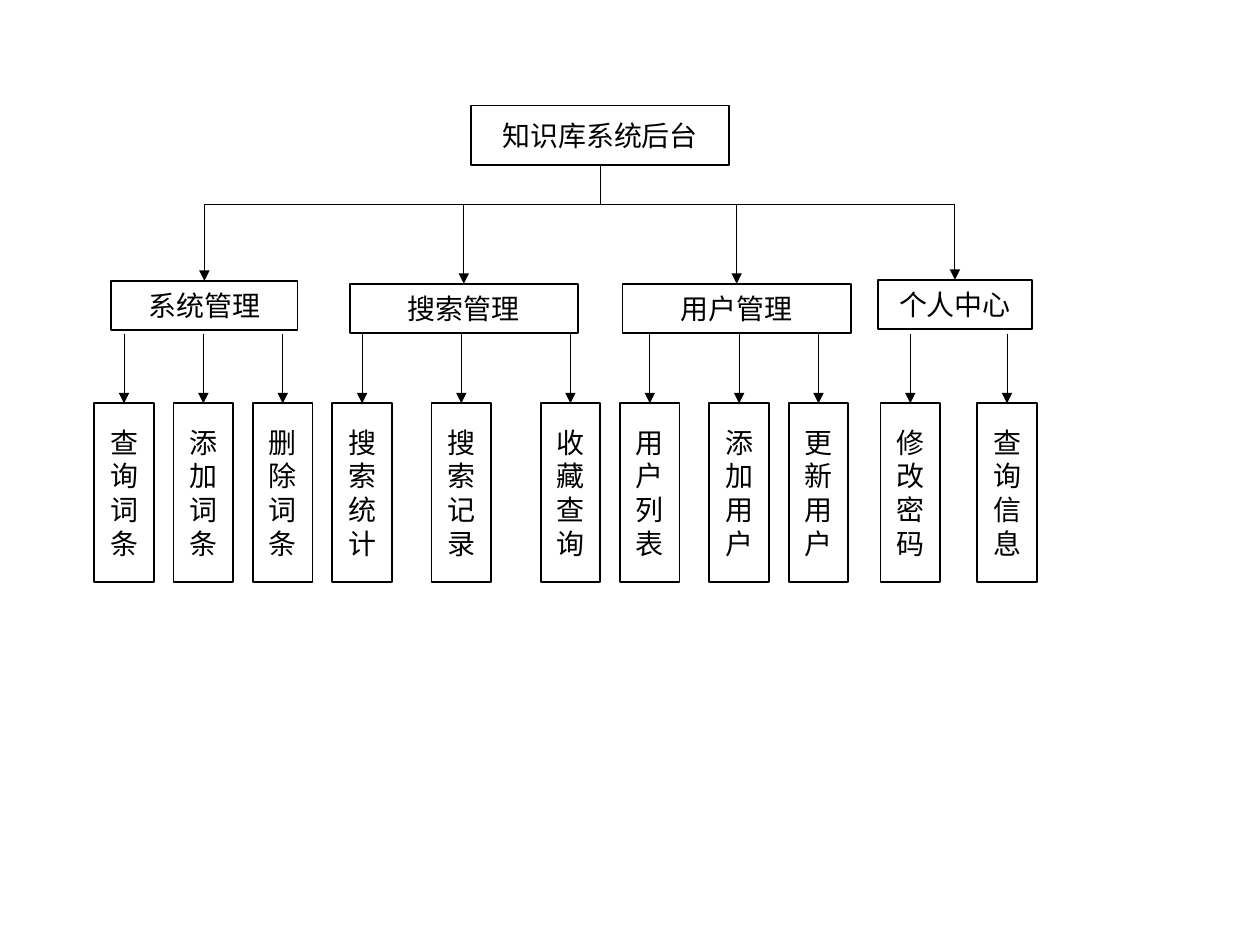
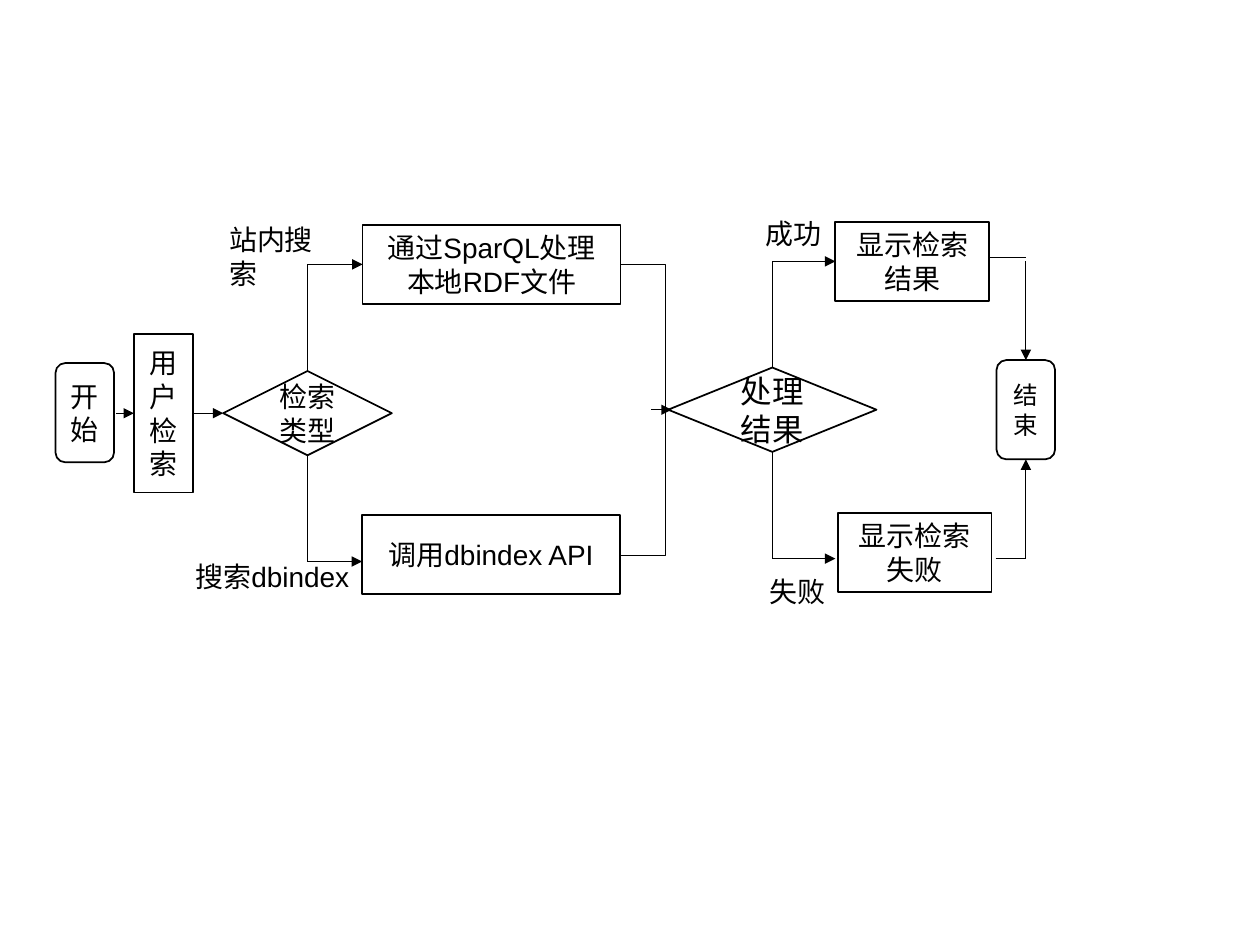
"""Build a knowledge base structure chart and its search flow."""
from typing import NamedTuple, Union

from lxml.etree import SubElement
from pptx import Presentation
from pptx.dml.color import RGBColor
from pptx.enum.shapes import MSO_CONNECTOR, MSO_SHAPE
from pptx.enum.text import MSO_ANCHOR, PP_ALIGN
from pptx.oxml.ns import qn
from pptx.util import Inches, Pt

SLIDE_WIDTH, SLIDE_HEIGHT = Inches(10), Inches(7.5)
COLUMNS, ROWS = 254, 190.5
BLACK, WHITE = "000000", "FFFFFF"
LATIN_FONT, CHINESE_FONT = "Arial", "Noto Sans CJK SC"
TOP, LEFT, BOTTOM, RIGHT = range(4)


class Box(NamedTuple):
    """A labelled shape, placed in grid columns and rows."""
    text: str
    left: float
    top: float
    width: float
    height: float
    kind: MSO_SHAPE = MSO_SHAPE.RECTANGLE
    size: int = 16
    font: str = LATIN_FONT
    fill: str = WHITE


class Label(NamedTuple):
    """Free text beside a branch of the flow."""
    text: str
    left: float
    top: float
    width: float
    alignment: PP_ALIGN


class Point(NamedTuple):
    """A free line end on the grid."""
    column: float
    row: float


class Joint(NamedTuple):
    """A line end joined to the middle of a shape's side."""
    shape: object
    side: int


End = Union[Point, Joint]


class Branch(NamedTuple):
    """A function group with the centre columns of its leaves."""
    box: Box
    leaves: dict[str, float]


LEAF_TOP, LEAF_WIDTH, LEAF_HEIGHT = 81.3, 12, 36
BUS_ROW, LEAF_ARROW_ROW = 41.2, 67.3
ROOT = Box("知识库系统后台", 95, 21.3, 52, 12)
BRANCHES = [
    Branch(Box("系统管理", 22.4, 56.6, 37.6, 10),
           {"查\n询\n词条": 25, "添加词条": 41, "删除词条": 57}),
    Branch(Box("搜索管理", 70.5, 57.2, 46, 10),
           {"搜索统计": 73, "搜索记录": 93, "收藏查询": 115}),
    Branch(Box("用户管理", 125.5, 57.2, 46, 10),
           {"用户列表": 131, "添加用户": 149, "更新用户": 165}),
    Branch(Box("个人中心", 177, 56.4, 31, 10),
           {"修改密码": 183.5, "查询信息": 203}),
]

TERMINAL = MSO_SHAPE.ROUNDED_RECTANGLE
FLOW_BOXES = {
    "user": Box("用户检索", 27, 67.3, 12, 32),
    "type": Box("检索类型", 45, 74.8, 34, 17, MSO_SHAPE.DIAMOND),
    "local": Box("通过SparQL处理本地RDF文件", 73.1, 45.3, 52, 16),
    "remote": Box("调用dbindex API", 73, 103.8, 52, 16),
    "result": Box("处理结果", 134.7, 74.1, 42, 17, MSO_SHAPE.DIAMOND, 18),
    "success": Box("显示检索结果", 168.4, 44.7, 31, 16),
    "failure": Box("显示检索失败", 168.9, 103.4, 31, 16),
    "start": Box("开始", 11.2, 73.2, 11.8, 20, TERMINAL, 16, CHINESE_FONT, ""),
    "end": Box("结束", 200.9, 72.6, 11.8, 20, TERMINAL, 14, CHINESE_FONT, ""),
}
LABELS = [
    Label("站内搜索", 43.7, 43.7, 27.4, PP_ALIGN.LEFT),
    Label("搜索dbindex", 36.1, 111.5, 37.6, PP_ALIGN.CENTER),
    Label("成功", 151.9, 42.4, 16.3, PP_ALIGN.LEFT),
    Label("失败", 152.7, 114.6, 16.3, PP_ALIGN.CENTER),
]
LABEL_HEIGHT = 9.4
ELBOW_REACH = 9.1


def across(columns: float) -> int:
    """Turn grid columns into a length."""
    return round(SLIDE_WIDTH * columns / COLUMNS)


def down(rows: float) -> int:
    """Turn grid rows into a length."""
    return round(SLIDE_HEIGHT * rows / ROWS)


def color(value: str) -> RGBColor:
    """Turn a hex string into a colour."""
    return RGBColor.from_string(value)


def write_text(frame, text: str, *, size: int = 16, font: str = LATIN_FONT,
               alignment: PP_ALIGN = PP_ALIGN.CENTER, wrap: bool = True,
               anchor: MSO_ANCHOR = MSO_ANCHOR.MIDDLE) -> None:
    """Fill a text frame, one paragraph for each line of text."""
    frame.word_wrap = wrap
    frame.vertical_anchor = anchor
    for index, line in enumerate(text.split("\n")):
        paragraph = frame.add_paragraph() if index else frame.paragraphs[0]
        paragraph.alignment = alignment
        run = paragraph.add_run()
        run.text = line
        run.font.size = Pt(size)
        run.font.name = font
        run.font.color.rgb = color(BLACK)
        SubElement(run.font._element, qn("a:ea"), typeface=CHINESE_FONT)


def draw_box(slide, box: Box):
    """Draw a labelled shape and return it."""
    shape = slide.shapes.add_shape(box.kind, across(box.left), down(box.top),
                                   across(box.width), down(box.height))
    shape.shadow.inherit = False
    if box.fill:
        shape.fill.solid()
        shape.fill.fore_color.rgb = color(box.fill)
    else:
        shape.fill.background()
    shape.line.color.rgb = color(BLACK)
    shape.line.width = Pt(1)
    write_text(shape.text_frame, box.text, size=box.size, font=box.font)
    return shape


def draw_label(slide, label: Label) -> None:
    """Draw free text on one line."""
    shape = slide.shapes.add_textbox(across(label.left), down(label.top),
                                     across(label.width), down(LABEL_HEIGHT))
    write_text(shape.text_frame, label.text, alignment=label.alignment,
               wrap=False, anchor=MSO_ANCHOR.TOP)


def position(end: End) -> tuple[int, int]:
    """Locate a line end on the slide."""
    if isinstance(end, Point):
        return across(end.column), down(end.row)
    shape = end.shape
    share_x, share_y = [(0.5, 0), (0, 0.5), (0.5, 1), (1, 0.5)][end.side]
    return (round(shape.left + shape.width * share_x),
            round(shape.top + shape.height * share_y))


def draw_line(slide, start: End, finish: End, arrow: bool = False,
              kind: MSO_CONNECTOR = MSO_CONNECTOR.STRAIGHT):
    """Draw a thin line, joined to shapes where its ends are joints."""
    connector = slide.shapes.add_connector(kind, *position(start), *position(finish))
    if isinstance(start, Joint):
        connector.begin_connect(start.shape, start.side)
    if isinstance(finish, Joint):
        connector.end_connect(finish.shape, finish.side)
    connector.line.color.rgb = color(BLACK)
    connector.line.width = Pt(0.5)
    if arrow:
        SubElement(connector.line._get_or_add_ln(), qn("a:tailEnd"), type="triangle")
    SubElement(connector._element.spPr, qn("a:effectLst"))
    return connector


def draw_elbow(slide, start: Point, finish: Point, reach: float) -> None:
    """Draw a bracket that reaches out to the right of both ends."""
    connector = draw_line(slide, start, finish, kind=MSO_CONNECTOR.ELBOW)
    share = round(-100000 * reach / (start.column - finish.column))
    geometry = connector._element.spPr.find(qn("a:prstGeom"))
    SubElement(geometry.find(qn("a:avLst")), qn("a:gd"), name="adj1", fmla=f"val {share}")


def draw_route(slide, *ends: End, arrow: bool = True) -> None:
    """Draw straight lines through the ends, with an arrow on the last."""
    for index in range(len(ends) - 1):
        draw_line(slide, ends[index], ends[index + 1],
                  arrow and index == len(ends) - 2)


def build_structure(slide) -> None:
    """Draw the root, its branches and their leaves."""
    root = draw_box(slide, ROOT)
    draw_line(slide, Joint(root, BOTTOM), Point(ROOT.left + ROOT.width / 2, BUS_ROW))
    centers = [branch.box.left + branch.box.width / 2 for branch in BRANCHES]
    draw_line(slide, Point(centers[0], BUS_ROW), Point(centers[-1], BUS_ROW))
    for branch, center in zip(BRANCHES, centers):
        group = draw_box(slide, branch.box)
        draw_line(slide, Point(center, BUS_ROW), Joint(group, TOP), arrow=True)
        for text, column in branch.leaves.items():
            leaf = draw_box(slide, Box(text, column - LEAF_WIDTH / 2, LEAF_TOP,
                                       LEAF_WIDTH, LEAF_HEIGHT))
            draw_line(slide, Point(column, LEAF_ARROW_ROW), Joint(leaf, TOP), arrow=True)


def build_flow(slide) -> None:
    """Draw the search flow from start to end."""
    shapes = {name: draw_box(slide, box) for name, box in FLOW_BOXES.items()}
    for label in LABELS:
        draw_label(slide, label)

    def joint(name: str, side: int) -> Joint:
        """Name a side of a flow shape."""
        return Joint(shapes[name], side)

    draw_route(slide, Point(23.4, 83.3), joint("user", LEFT))
    draw_route(slide, joint("user", RIGHT), joint("type", LEFT))
    draw_route(slide, joint("type", TOP), Point(62, 53.3), joint("local", LEFT))
    draw_route(slide, joint("type", BOTTOM), Point(62, 113.2), Point(73, 113.2))
    draw_elbow(slide, Point(125.1, 53.3), Point(124.9, 111.9), ELBOW_REACH)
    draw_route(slide, Point(131.3, 82.6), Point(135.4, 82.6))
    draw_route(slide, joint("result", TOP), Point(155.7, 52.7), joint("success", LEFT))
    draw_route(slide, joint("result", BOTTOM), Point(155.7, 112.6), Point(168.4, 112.6))
    draw_route(slide, Point(199.4, 51.8), Point(206.8, 51.8), arrow=False)
    draw_route(slide, Point(206.8, 52.7), joint("end", TOP))
    draw_route(slide, Point(200.7, 112.6), Point(206.8, 112.6), joint("end", BOTTOM))


def main() -> None:
    """Build both slides and save them."""
    presentation = Presentation()
    presentation.slide_width, presentation.slide_height = SLIDE_WIDTH, SLIDE_HEIGHT
    for build in (build_structure, build_flow):
        build(presentation.slides.add_slide(presentation.slide_layouts[6]))
    presentation.save("out.pptx")


if __name__ == "__main__":
    main()
